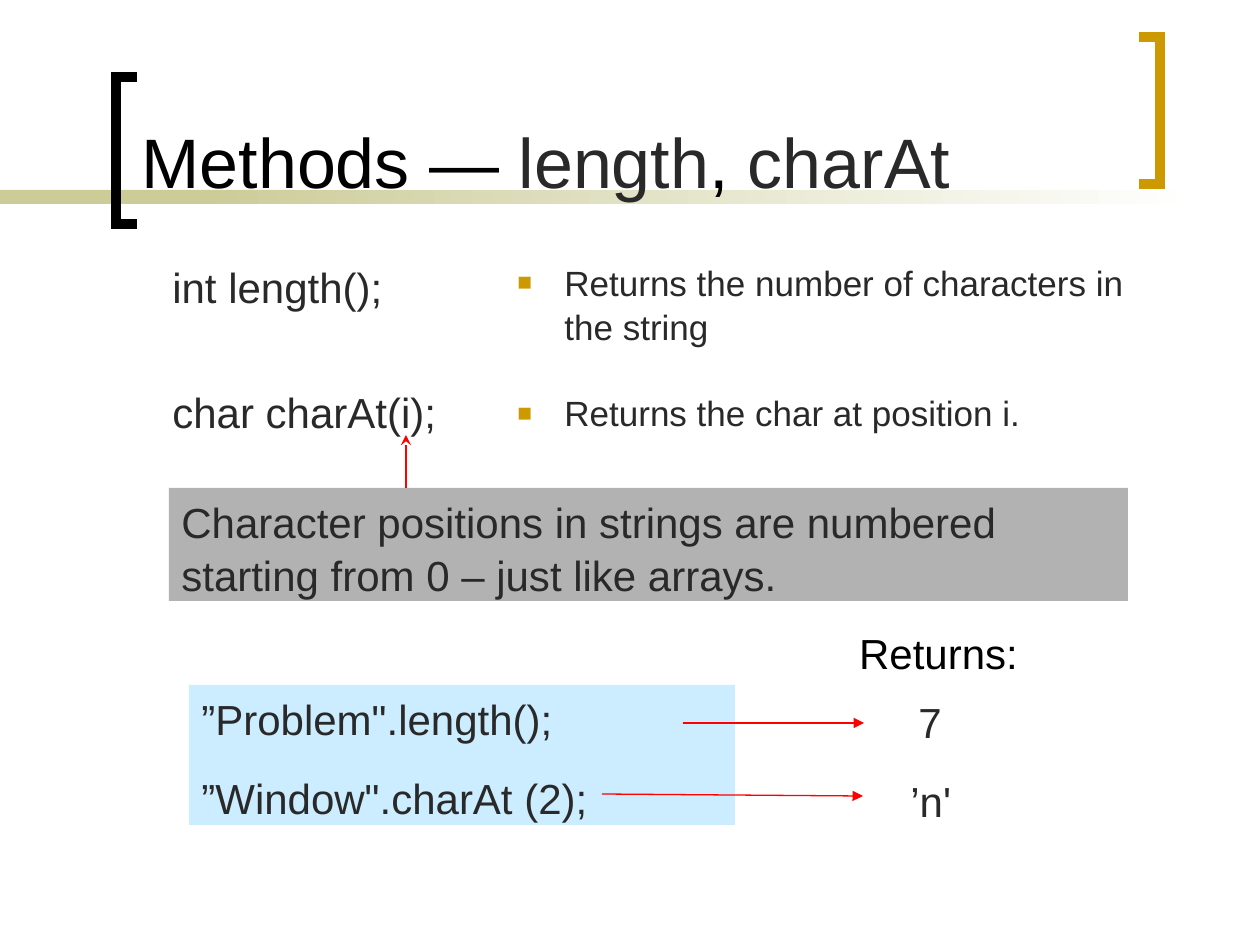
from lxml import etree
from pptx import Presentation, util as u
from pptx.dml.color import RGBColor
from pptx.enum import shapes, text
from pptx.oxml.ns import qn

SCALE = 914400 / 126
INK, BLACK, GOLD, OLIVE, RED = "292929", "000000", "CC9900", "CCCC99", "FF0000"


def px(length):
    return u.Emu(round(length * SCALE))


def color(value):
    return RGBColor.from_string(value)


def add_span(para, words, size, ink=INK):
    span = para.add_run()
    span.text = words
    span.font.name = "Arial"
    span.font.size = u.Pt(size)
    span.font.color.rgb = color(ink)


def add_lines(shape, lines, size=24, gap=15, ink=INK, align=text.PP_ALIGN.LEFT):
    """Write one paragraph per line, with the gap (in points) between them."""
    frame = shape.text_frame
    frame.word_wrap = True
    frame.vertical_anchor = text.MSO_ANCHOR.TOP
    for index, words in enumerate(lines):
        para = frame.add_paragraph() if index else frame.paragraphs[0]
        para.alignment = align
        para.line_spacing = 1.05
        para.space_before = u.Pt(gap if index else 0)
        add_span(para, words, size, ink)
    return frame.paragraphs


def indent(para, left, first=0):
    props = para._p.get_or_add_pPr()
    props.set("marL", str(px(left)))
    props.set("indent", str(px(first)))
    return props


def add_bullet(para):
    props = indent(para, 47, -47)
    tint = etree.SubElement(props, qn("a:buClr"))
    etree.SubElement(tint, qn("a:srgbClr"), val=GOLD)
    etree.SubElement(props, qn("a:buSzPct"), val="70000")
    etree.SubElement(props, qn("a:buFont"), typeface="Arial")
    etree.SubElement(props, qn("a:buChar"), char="■")


def add_text(page, left, top, width, height):
    return page.shapes.add_textbox(px(left), px(top), px(width), px(height))


def add_panel(page, left, top, width, height, fill):
    panel = page.shapes.add_shape(shapes.MSO_SHAPE.RECTANGLE,
                                  px(left), px(top), px(width), px(height))
    panel.shadow.inherit = False
    panel.line.fill.background()
    panel.fill.solid()
    panel.fill.fore_color.rgb = color(fill)
    return panel


def add_arrow(page, start, end, head="triangle"):
    arrow = page.shapes.add_connector(shapes.MSO_CONNECTOR.STRAIGHT,
                                      *map(px, start + end))
    arrow.line.color.rgb = color(RED)
    arrow.line.width = u.Pt(0.75)
    etree.SubElement(arrow.line._get_or_add_ln(), qn("a:tailEnd"), type=head)
    etree.SubElement(arrow._element.spPr, qn("a:effectLst"))


def add_bracket(page, spine, tip, top, ink):
    """Draw a square bracket whose arms run from the spine to the tip."""
    bottom = top + 147
    builder = page.shapes.build_freeform(px(tip), px(top))
    builder.add_line_segments([(px(x), px(y)) for x, y in
                               ((spine, top), (spine, bottom), (tip, bottom))],
                              close=False)
    bracket = builder.convert_to_shape()
    bracket.shadow.inherit = False
    bracket.fill.background()
    bracket.line.color.rgb = color(ink)
    bracket.line.width = u.Pt(6)
    etree.SubElement(bracket.line._get_or_add_ln(), qn("a:miter"), lim="800000")


def add_heading(page, left, top, width, height):
    band_top = top + 176
    add_panel(page, 0, band_top, 294, 14, OLIVE)
    fade = add_panel(page, 199, band_top, 998, 14, OLIVE).fill
    fade.gradient()
    fade.gradient_angle = 0
    for stop, ink in zip(fade.gradient_stops, (OLIVE, "FFFFFF")):
        stop.color.rgb = color(ink)
    add_bracket(page, left - 13, left + 8, top + 63, BLACK)
    add_bracket(page, left + 1031, left + 1010, top + 23, GOLD)

    title = page.shapes.title
    title.left, title.top, title.width, title.height = map(
        px, (left, top, width, height))
    frame = title.text_frame
    frame.auto_size = text.MSO_AUTO_SIZE.NONE
    frame.vertical_anchor = text.MSO_ANCHOR.BOTTOM
    para = frame.paragraphs[0]
    para.alignment = text.PP_ALIGN.LEFT
    for words, ink in (("Methods — ", BLACK), ("length", INK),
                       (", ", BLACK), ("charAt", INK)):
        add_span(para, words, 40, ink)
    # The title stands in front of the band
    page.shapes._spTree.append(title._element)


def add_methods(page, left, top):
    signatures = add_text(page, left, top, 300, 185)
    add_lines(signatures, ["int length();", "char charAt(i);"], gap=41)
    meanings = add_text(page, left + 345, top, 649, 193)
    for para in add_lines(meanings, [
            "Returns the number of characters in the string",
            "Returns the char at position i."], size=20, gap=24):
        add_bullet(para)


def add_note(page, left, top, width, height):
    note = add_panel(page, left, top, width, height, "B2B2B2")
    add_lines(note, ["Character positions in strings are numbered "
                     "starting from 0 – just like arrays."])
    add_arrow(page, (left + 237, top), (left + 237, top - 53), "stealth")


def add_examples(page, left, top, width, height):
    calls = add_panel(page, left, top, width, height, "CCECFF")
    add_lines(calls, ["”Problem\".length();", "”Window\".charAt (2);"])
    add_lines(add_text(page, left + 650, top - 66, 199, 63), ["Returns:"],
              ink=BLACK, align=text.PP_ALIGN.CENTER)
    results = add_lines(add_text(page, left + 709, top + 3, 154, height),
                        ["7", "’n'"])
    indent(results[0], 8)
    add_arrow(page, (left + 413, top + 109), (left + 674, top + 111))
    add_arrow(page, (left + 494, top + 38), (left + 675, top + 38))


def main():
    deck = Presentation()
    deck.slide_width, deck.slide_height = px(1260), px(945)
    page = deck.slides.add_slide(deck.slide_layouts[5])
    add_heading(page, 129, 14, 987, 195)
    add_methods(page, 160, 253)
    add_note(page, 169, 488, 959, 113)
    add_examples(page, 189, 685, 546, 140)
    deck.save("out.pptx")


if __name__ == "__main__":
    main()
